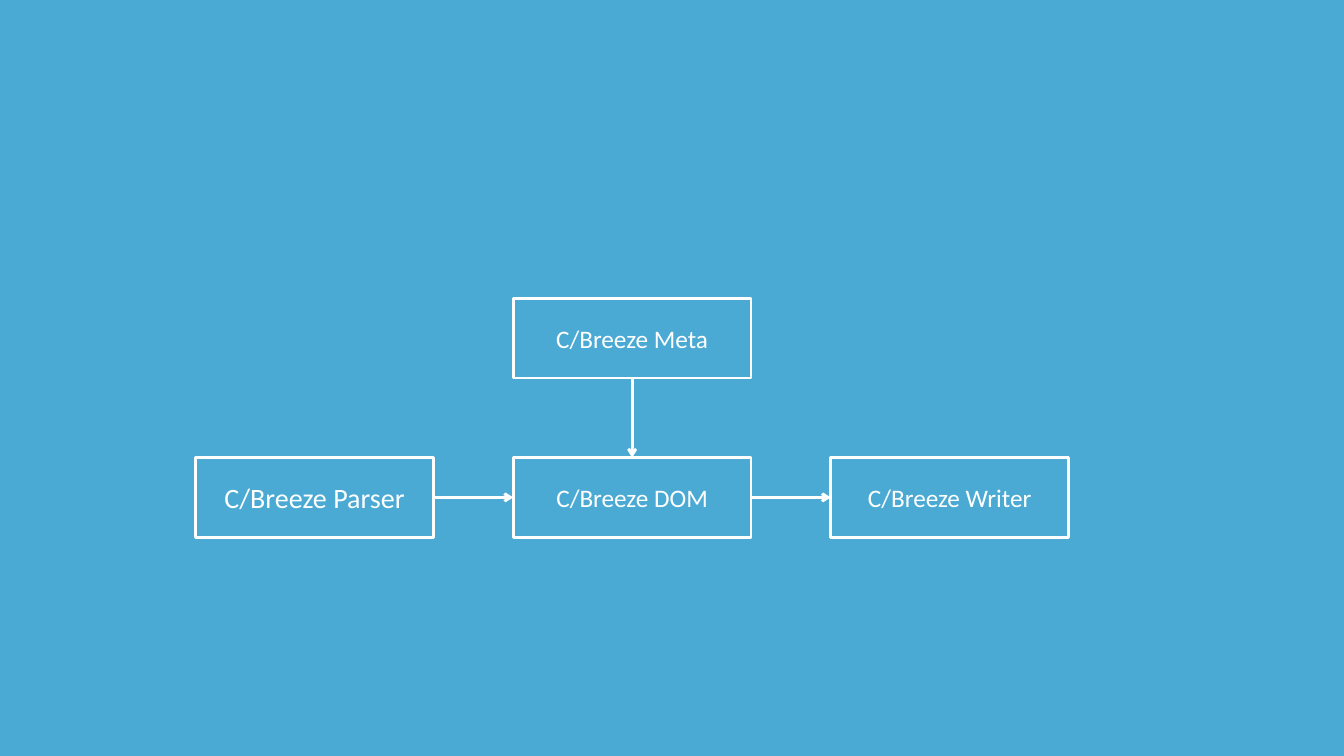
import dataclasses

import lxml.etree
import pptx
import pptx.dml.color
import pptx.enum.shapes
import pptx.enum.text
import pptx.oxml.ns
import pptx.util

# Grid: a box is three units by one, with one unit between boxes
UNIT = 0.79
LEFT, TOP = 1.94, 2.96
WIDE, HIGH = 2.36, UNIT
COL, ROW = 3.15, 2 * UNIT
HUES = {"back": "4BAAD3", "ink": "FFFFFF"}
SIDES = {"top": 0, "left": 1, "bottom": 2, "right": 3}


@dataclasses.dataclass(frozen=True)
class Box:
    text: str
    col: int
    row: int
    size: int = 18


@dataclasses.dataclass(frozen=True)
class Link:
    start: str
    out: str
    end: str
    into: str


BOXES = {
    "parser": Box("C/Breeze Parser", 0, 1, 20),
    "dom": Box("C/Breeze DOM", 1, 1),
    "writer": Box("C/Breeze Writer", 2, 1),
    "meta": Box("C/Breeze Meta", 1, 0),
}
LINKS = [
    Link("meta", "bottom", "dom", "top"),
    Link("parser", "right", "dom", "left"),
    Link("dom", "right", "writer", "left"),
]


def hue(name: str) -> pptx.dml.color.RGBColor:
    return pptx.dml.color.RGBColor.from_string(HUES[name])


def apply(part: object, form: dict) -> None:
    for key, value in form.items():
        setattr(part, key, value)


def stroke(line: pptx.dml.line.LineFormat) -> None:
    line.color.rgb = hue("ink")
    line.width = pptx.util.Pt(2)


def draw_box(slide: pptx.slide.Slide, box: Box) -> pptx.shapes.autoshape.Shape:
    spot = (LEFT + box.col * COL, TOP + box.row * ROW, WIDE, HIGH)
    shape = slide.shapes.add_shape(
        pptx.enum.shapes.MSO_SHAPE.RECTANGLE, *map(pptx.util.Inches, spot))
    shape.shadow.inherit = False
    shape.fill.background()
    stroke(shape.line)
    frame = shape.text_frame
    apply(frame, {"text": box.text, "word_wrap": True,
                  "vertical_anchor": pptx.enum.text.MSO_ANCHOR.MIDDLE})
    para = frame.paragraphs[0]
    para.alignment = pptx.enum.text.PP_ALIGN.CENTER
    font = para.runs[0].font
    apply(font, {"name": "Calibri", "size": pptx.util.Pt(box.size)})
    font.color.rgb = hue("ink")
    return shape


def draw_link(slide: pptx.slide.Slide, link: Link, made: dict) -> None:
    wire = slide.shapes.add_connector(
        pptx.enum.shapes.MSO_CONNECTOR.STRAIGHT, 0, 0, 0, 0)
    wire.begin_connect(made[link.start], SIDES[link.out])
    wire.end_connect(made[link.end], SIDES[link.into])
    stroke(wire.line)
    # Open arrowhead, no shadow
    tag = pptx.oxml.ns.qn
    props = wire.element.spPr
    lxml.etree.SubElement(props.find(tag("a:ln")), tag("a:tailEnd"), type="arrow")
    lxml.etree.SubElement(props, tag("a:effectLst"))


# Slide
deck = pptx.Presentation()
apply(deck, {"slide_width": pptx.util.Inches(13.33),
             "slide_height": pptx.util.Inches(7.5)})
slide = deck.slides.add_slide(deck.slide_layouts[6])
slide.background.fill.solid()
slide.background.fill.fore_color.rgb = hue("back")

# Boxes, then the arrows between them
made = {name: draw_box(slide, box) for name, box in BOXES.items()}
for link in LINKS:
    draw_link(slide, link, made)

deck.save("out.pptx")
